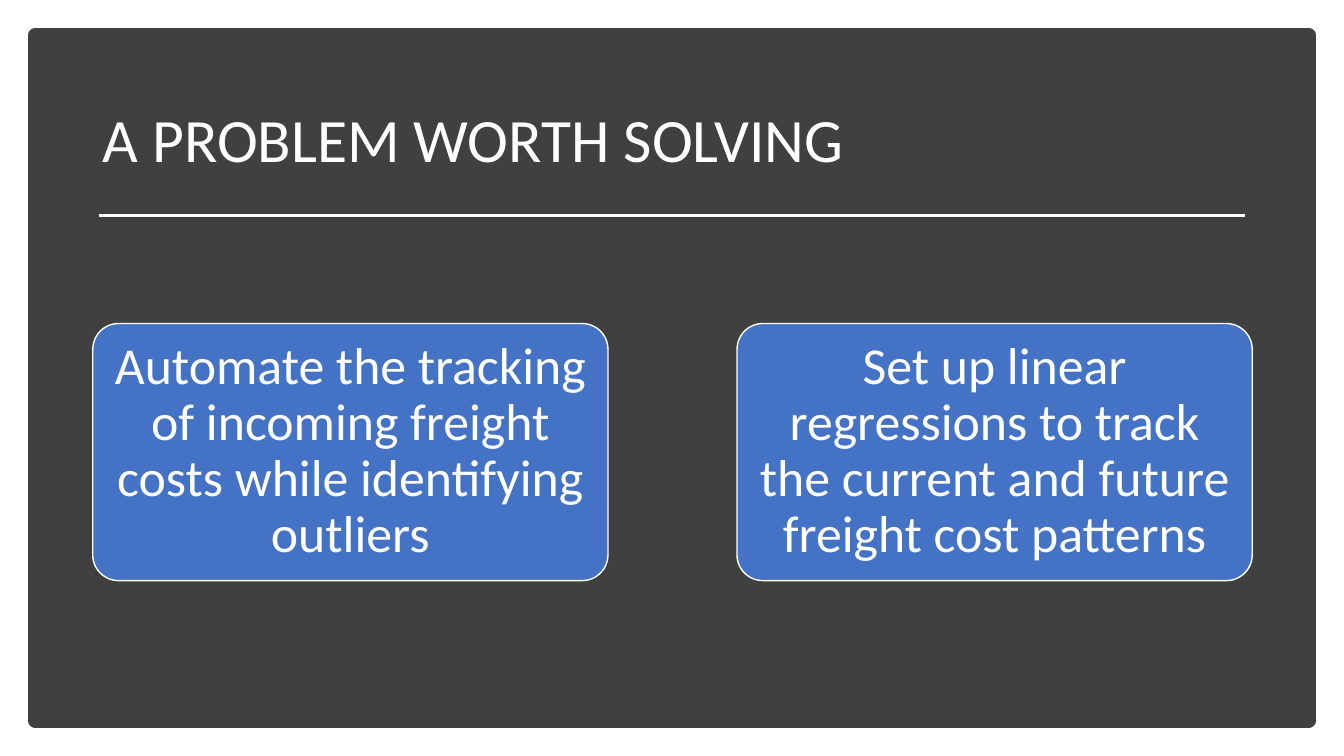
from lxml.etree import SubElement
from pptx import Presentation
from pptx.dml.color import RGBColor
from pptx.enum.shapes import MSO_CONNECTOR as Link, MSO_SHAPE as Form
from pptx.enum.text import MSO_ANCHOR as Anchor, PP_ALIGN as Align
from pptx.oxml.ns import qn
from pptx.util import Inches, Pt

WHITE = RGBColor(0xFF, 0xFF, 0xFF)
DARK = RGBColor(0x40, 0x40, 0x40)
BLUE = RGBColor(0x44, 0x72, 0xC4)

WIDE, HIGH = 13.33, 7.5
EDGE = 0.35
LEFT, SPAN = 0.92, 11.5
CARD_W, CARD_H, CARD_TOP = 5.11, 2.55, 3.21
STEP = SPAN - CARD_W
GOALS = (
    "Automate the tracking of incoming freight costs while identifying outliers",
    "Set up linear regressions to track the current and future freight cost patterns",
)


def style(item, **props):
    """Set each given attribute on the item."""
    for name, value in props.items():
        setattr(item, name, value)


def place(item, left, top, wide, high):
    """Move and size an item, in inches."""
    style(item, left=Inches(left), top=Inches(top),
          width=Inches(wide), height=Inches(high))


def write(item, text, size, align, pad):
    """Fill an item with one white paragraph."""
    frame = item.text_frame
    side, rise = map(Inches, pad)
    style(frame, text=text, word_wrap=True, vertical_anchor=Anchor.MIDDLE,
          margin_left=side, margin_right=side, margin_top=rise, margin_bottom=rise)
    para = frame.paragraphs[0]
    style(para, alignment=align, line_spacing=0.9)
    style(para.font, name="Calibri", size=Pt(size))
    para.font.color.rgb = WHITE


def add_box(slide, form, box, fill, edge, weight):
    """Add a filled and outlined shape."""
    shape = slide.shapes.add_shape(form, *map(Inches, box))
    shape.shadow.inherit = False
    shape.fill.solid()
    shape.fill.fore_color.rgb = fill
    shape.line.color.rgb = edge
    shape.line.width = Pt(weight)
    return shape


def add_title(slide, text):
    """Place and format the title."""
    title = slide.shapes.title
    place(title, LEFT, 0.69, SPAN, 1.45)
    write(title, text, 44, Align.LEFT, (0.1, 0.05))


def add_rule(slide, start, end, top):
    """Draw a level white line."""
    rule = slide.shapes.add_connector(Link.STRAIGHT, *map(Inches, (start, top, end, top)))
    rule.line.color.rgb = WHITE
    rule.line.width = Pt(1.75)
    SubElement(rule.line._get_or_add_ln().getparent(), qn("a:effectLst"))


def add_card(slide, col, text):
    """Add a rounded card in the given column."""
    box = (LEFT + col * STEP, CARD_TOP, CARD_W, CARD_H)
    card = add_box(slide, Form.ROUNDED_RECTANGLE, box, BLUE, WHITE, 1)
    card.adjustments[0] = 0.1
    write(card, text, 37, Align.CENTER, (0.08, 0.05))


def main():
    """Build and save the slide."""
    deck = Presentation()
    style(deck, slide_width=Inches(WIDE), slide_height=Inches(HIGH))
    slide = deck.slides.add_slide(deck.slide_layouts[5])
    panel = add_box(slide, Form.RECTANGLE,
                    (EDGE, EDGE, WIDE - 2 * EDGE, HIGH - 2 * EDGE), DARK, DARK, 10)
    slide.shapes.title.element.addprevious(panel.element)
    add_title(slide, "A PROBLEM WORTH SOLVING")
    add_rule(slide, 0.98, 12.35, 2.14)
    for col, goal in enumerate(GOALS):
        add_card(slide, col, goal)
    deck.save("out.pptx")


if __name__ == "__main__":
    main()
